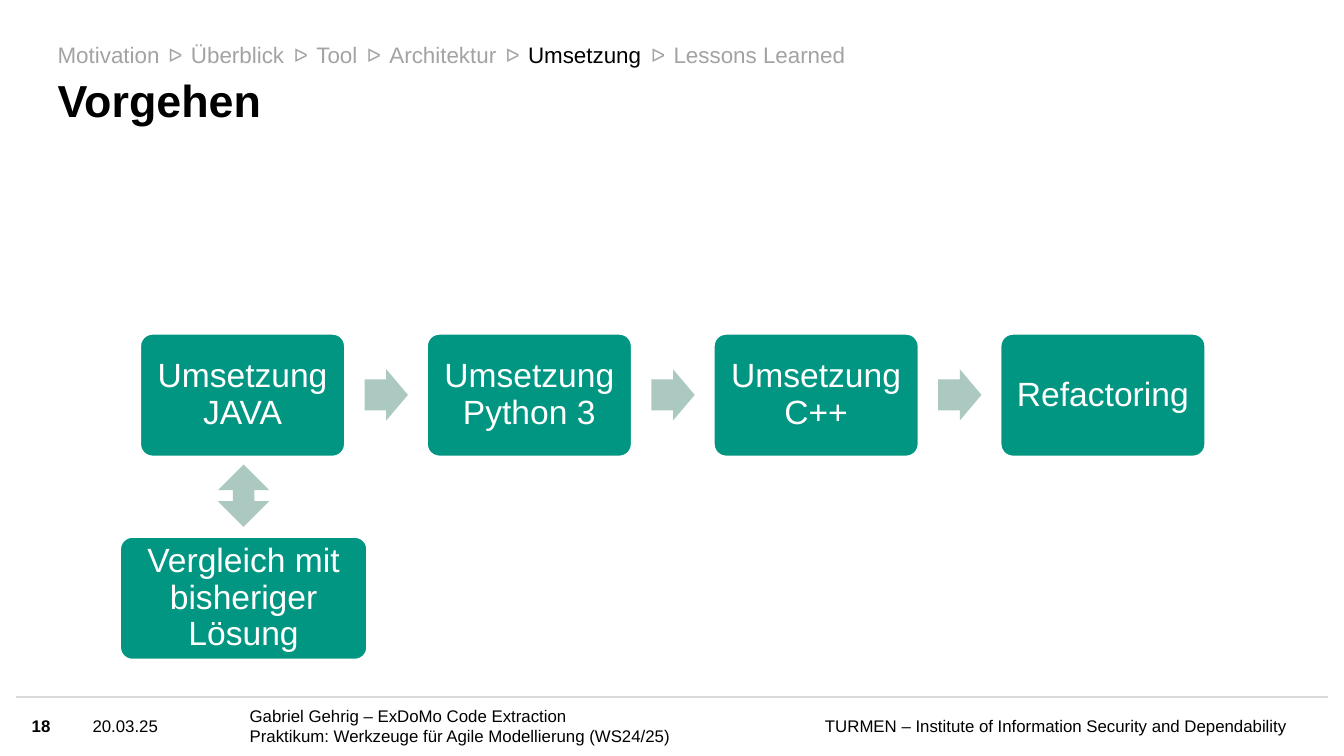
from dataclasses import dataclass

import pptx
import pptx.dml.color
import pptx.enum.shapes
import pptx.enum.text
import pptx.oxml
import pptx.util

Cm = pptx.util.Cm
Kind = pptx.enum.shapes.MSO_SHAPE
Align = pptx.enum.text.PP_ALIGN
Anchor = pptx.enum.text.MSO_ANCHOR
Fit = pptx.enum.text.MSO_AUTO_SIZE


@dataclass(frozen=True)
class Theme:
    font: str = "Arial"
    ink: str = "000000"
    paper: str = "FFFFFF"
    muted: str = "A3A3A3"
    rule: str = "D9D9D9"
    box: str = "009682"
    arrow: str = "ABC9C1"
    head: int = 24
    step: int = 18
    crumb: int = 12
    mark: int = 10
    foot: int = 9


def rgb(code):
    return pptx.dml.color.RGBColor.from_string(code)


class Deck:
    def __init__(self, theme):
        self.theme = theme
        self.file = pptx.Presentation()
        self.file.slide_width = Cm(25.4)
        self.file.slide_height = Cm(14.29)
        self.slide = self.file.slides.add_slide(self.file.slide_layouts[5])

    def fill_text(self, frame, lines, size, color, align=Align.LEFT,
                  anchor=Anchor.MIDDLE, bold=False, lead=1.0, pad=(0, 0), wrap=True):
        frame.auto_size = Fit.NONE
        frame.word_wrap = wrap
        frame.vertical_anchor = anchor
        frame.margin_left = frame.margin_right = Cm(pad[0])
        frame.margin_top = frame.margin_bottom = Cm(pad[1])
        for i, line in enumerate(lines):
            para = frame.add_paragraph() if i else frame.paragraphs[0]
            para.alignment = align
            para.line_spacing = lead
            run = para.add_run()
            run.text = line
            run.font.name = self.theme.font
            run.font.size = pptx.util.Pt(size)
            run.font.bold = bold
            run.font.color.rgb = rgb(color)

    def title(self, text, area):
        shape = self.slide.shapes.title
        shape.left, shape.top, shape.width, shape.height = map(Cm, area)
        self.fill_text(shape.text_frame, [text], self.theme.head, self.theme.ink,
                       anchor=Anchor.BOTTOM, bold=True, lead=0.9)

    def text(self, lines, area, size, color, **style):
        shape = self.slide.shapes.add_textbox(*map(Cm, area))
        self.fill_text(shape.text_frame, lines, size, color, **style)

    def shape(self, kind, area, fill, adjust):
        shape = self.slide.shapes.add_shape(kind, *map(Cm, area))
        shape.shadow.inherit = False
        shape.fill.solid()
        shape.fill.fore_color.rgb = rgb(fill)
        shape.line.fill.background()
        for i, value in enumerate(adjust):
            shape.adjustments[i] = value
        return shape

    def box(self, text, area):
        shape = self.shape(Kind.ROUNDED_RECTANGLE, area, self.theme.box, [0.1])
        shape.line.color.rgb = rgb(self.theme.paper)
        shape.line.width = pptx.util.Pt(1)
        self.fill_text(shape.text_frame, [text], self.theme.step, self.theme.paper,
                       align=Align.CENTER, lead=0.9, pad=(0.16, 0.16))

    def arrow(self, kind, area, tip):
        self.shape(kind, area, self.theme.arrow, [0.6, tip])

    def rule(self, left, right, top):
        line = self.slide.shapes.add_connector(
            pptx.enum.shapes.MSO_CONNECTOR.STRAIGHT,
            Cm(left), Cm(top), Cm(right), Cm(top))
        line.line.color.rgb = rgb(self.theme.rule)
        line.line.width = pptx.util.Pt(1)
        props = line._element.spPr
        props.append(pptx.oxml.parse_xml(
            '<a:effectLst xmlns:a="http://schemas.openxmlformats.org/drawingml/2006/main"/>'))

    def crumbs(self, items, active, left, gap):
        look = self.theme
        for i, (name, width) in enumerate(items):
            if i:
                self.text(["ᐅ"], (left - gap - 0.11, 0.69, 0.81, 0.69),
                          look.mark, look.muted, align=Align.CENTER,
                          anchor=Anchor.TOP, pad=(0, 0.13))
            self.text([name], (left, 0.64, width, 0.76), look.crumb,
                      look.ink if name == active else look.muted,
                      anchor=Anchor.TOP, pad=(0, 0.13), wrap=False)
            left += width + gap

    def footer(self, lines, left, width, **style):
        self.text(lines, (left, 13.18, width, 1.09), self.theme.foot,
                  self.theme.ink, **style)


def main():
    deck = Deck(Theme())
    deck.rule(0.3, 25.1, 13.18)
    deck.footer(["Gabriel Gehrig – ExDoMo Code Extraction",
                 "Praktikum: Werkzeuge für Agile Modellierung (WS24/25)"], 4.72, 10.24)
    deck.footer(["TURMEN – Institute of Information Security and Dependability"],
                15.29, 9.02, align=Align.RIGHT)
    deck.footer(["20.03.25"], 1.75, 2.84)
    deck.footer(["18"], 0.6, 0.91, bold=True)

    deck.title("Vorgehen", (1.09, 0.81, 19.08, 1.6))
    deck.crumbs([("Motivation", 1.93), ("Überblick", 1.78), ("Tool", 0.79),
                 ("Architektur", 2.03), ("Umsetzung", 2.16),
                 ("Lessons Learned", 3.25)], "Umsetzung", 1.09, 0.59)

    steps = ["Umsetzung JAVA", "Umsetzung Python 3", "Umsetzung C++", "Refactoring"]
    start, pitch, width, height, top = 2.65, 5.42, 3.87, 2.32, 6.31
    for i, step in enumerate(steps):
        left = start + i * pitch
        if i:
            deck.arrow(Kind.RIGHT_ARROW, (left - 1.18, top + 0.67, 0.82, 0.97), 0.5)
        deck.box(step, (left, top, width, height))

    deck.box("Vergleich mit bisheriger Lösung", (2.27, 10.15, 4.67, height))
    deck.arrow(Kind.UP_DOWN_ARROW, (4.12, 8.78, 0.97, 1.18), 0.42)
    deck.file.save("out.pptx")


if __name__ == "__main__":
    main()
